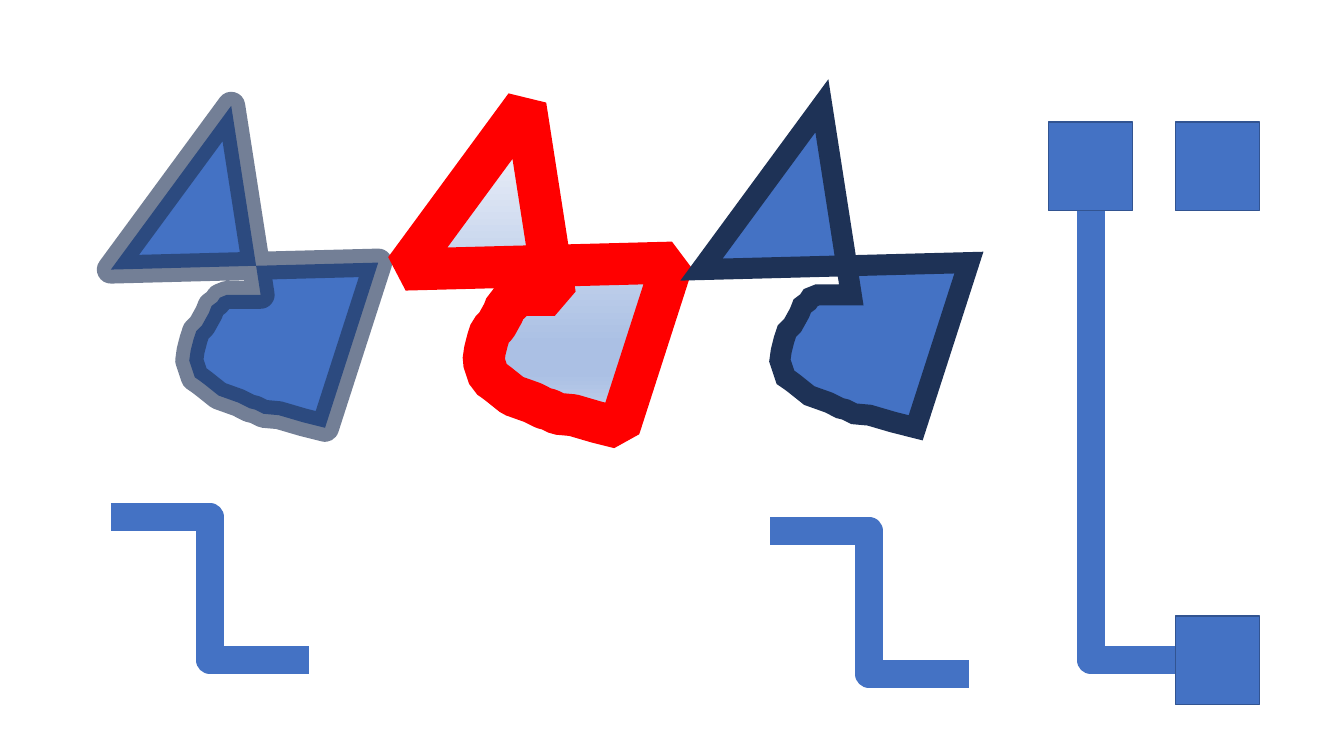
import copy
import pptx
import pptx.util
import pptx.dml.color
import pptx.enum.shapes
import pptx.oxml
import pptx.oxml.ns

Pt = pptx.util.Pt
RGB = pptx.dml.color.RGBColor
qn = pptx.oxml.ns.qn
BLUE = RGB(0x44, 0x72, 0xC4)
NAVY = RGB(0x1E, 0x32, 0x56)
EDGE = RGB(0x32, 0x54, 0x91)
RED = RGB(0xFF, 0x00, 0x00)
PALE = RGB(0xF6, 0xF8, 0xFC)
MID = RGB(0xAB, 0xC0, 0xE4)
SOFT = RGB(0xC7, 0xD5, 0xED)


def paint(shape, color, width):
    shape.shadow.inherit = False
    shape.fill.solid()
    shape.fill.fore_color.rgb = BLUE
    shape.line.color.rgb = color
    shape.line.width = Pt(width)


def add_node(parent, tag, **attrs):
    node = pptx.oxml.parse_xml(f"<a:{tag} {pptx.oxml.ns.nsdecls('a')}/>")
    for key, value in attrs.items():
        node.set(key, value)
    parent.append(node)


deck = pptx.Presentation()
deck.slide_width = Pt(960)
deck.slide_height = Pt(540)
slide = deck.slides.add_slide(deck.slide_layouts[6])
shapes = slide.shapes

outline = [
    (86.4, 0), (0, 116.6), (190.8, 111.6), (152.9, 230.4), (137, 225.7),
    (120.2, 221), (109.4, 219.6), (103, 217.4), (98.6, 216), (91.4, 212.4),
    (77, 206.6), (67, 199.4), (63.4, 195.8), (59.8, 194.4), (56.2, 182.2),
    (57, 175), (59, 167), (61.2, 160.6), (64.8, 157), (69.8, 147.6),
    (72, 142.6), (75.6, 140.4), (77.8, 136.8), (82.8, 134.6),
    (104.4, 135.4), (106.6, 135.4),
]
blobs = []
for left, color, width, join in [
    (79.2, NAVY, 20, "round"),
    (289.4, RED, 30, "bevel"),
    (501.1, NAVY, 15, "miter"),
]:
    pen = shapes.build_freeform(*outline[0], scale=Pt(1))
    pen.add_line_segments(outline[1:], close=True)
    blob = pen.convert_to_shape(Pt(left), Pt(75.6))
    paint(blob, color, width)
    edge = blob.line._get_or_add_ln()
    if join == "miter":
        add_node(edge, join, lim="800000")
    else:
        add_node(edge, join)
    blobs.append(blob)

tint = blobs[0].line._get_or_add_ln().find(".//" + qn("a:srgbClr"))
add_node(tint, "alpha", val="61000")

fade = blobs[1].fill
fade.gradient()
fade.gradient_angle = 270
stops = blobs[1]._element.spPr.find(".//" + qn("a:gsLst"))
for _ in range(2):
    stops.append(copy.deepcopy(stops[0]))
ramp = [(0, PALE), (0.74, MID), (0.83, MID), (1, SOFT)]
for stop, (place, color) in zip(fade.gradient_stops, ramp):
    stop.position = place
    stop.color.rgb = color

elbow = pptx.enum.shapes.MSO_CONNECTOR.ELBOW
for left, top, wide, high, turned in [
    (79.2, 369.4, 141.8, 102.2, False),
    (648.9, 280.8, 321, 60.5, True),
    (550.1, 379.4, 141.8, 102.2, False),
]:
    link = shapes.add_connector(
        elbow, Pt(left), Pt(top), Pt(left + wide), Pt(top + high))
    link.line.color.rgb = BLUE
    link.line.width = Pt(20)
    props = link._element.spPr
    add_node(props, "effectLst")
    if turned:
        props.find(qn("a:prstGeom")).set("prst", "bentConnector2")
        frame = props.find(qn("a:xfrm"))
        frame.set("rot", "16200000")
        frame.set("flipH", "1")

pair = None
for left, top in [(839.5, 439.9), (839.5, 87.1), (748.8, 87.1)]:
    if top < 100 and pair is None:
        pair = shapes.add_group_shape()
    home = pair.shapes if pair else shapes
    box = home.add_shape(
        pptx.enum.shapes.MSO_SHAPE.RECTANGLE,
        Pt(left), Pt(top), Pt(60), Pt(63.4))
    paint(box, EDGE, 1)

deck.save("out.pptx")
